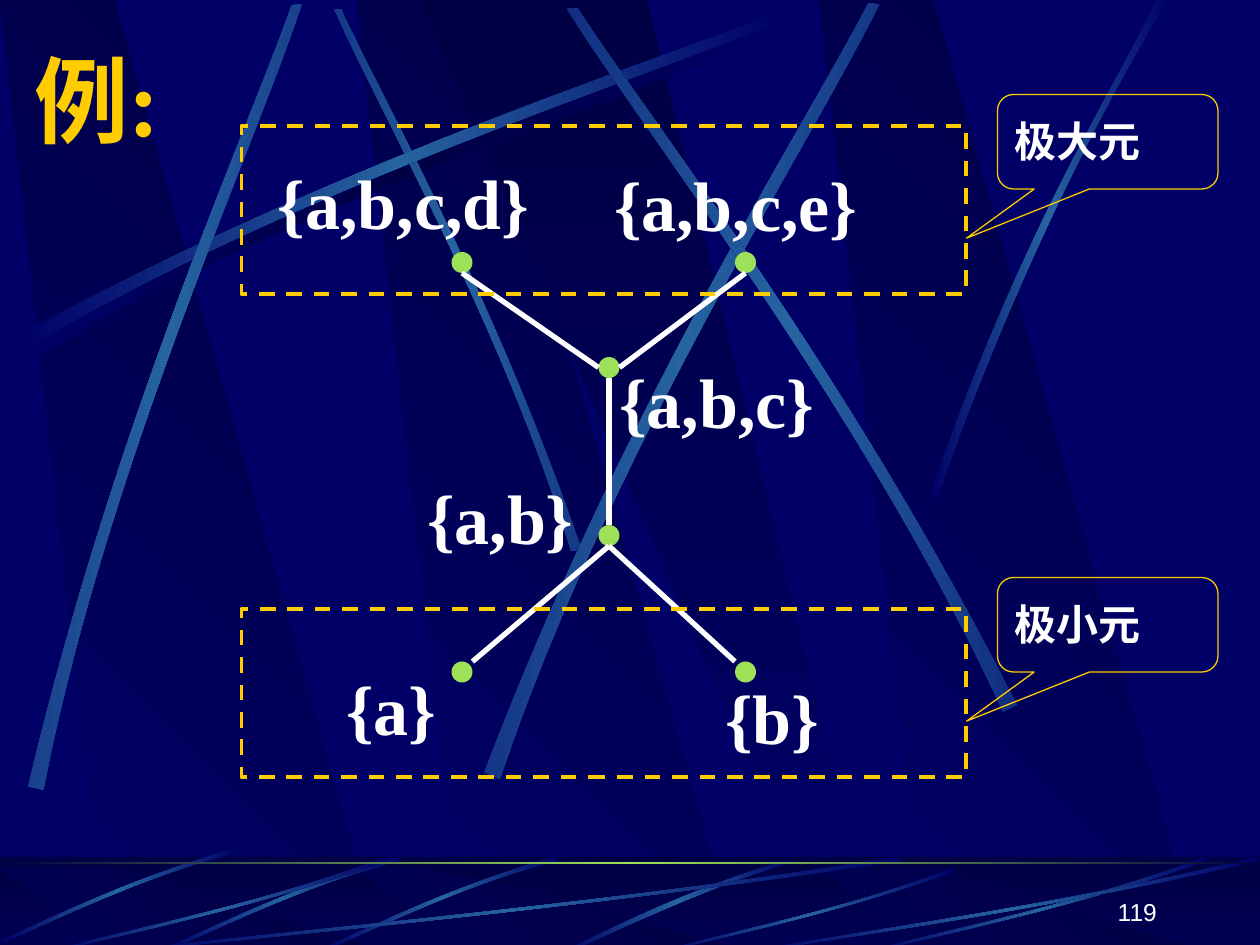
from lxml.etree import Element, SubElement
from pptx import Presentation
from pptx.dml.color import RGBColor
from pptx.enum.dml import MSO_LINE
from pptx.enum.shapes import MSO_CONNECTOR, MSO_SHAPE
from pptx.enum.text import MSO_ANCHOR, PP_ALIGN
from pptx.oxml.ns import qn
from pptx.util import Inches, Pt

COLUMNS = 120
WIDTH, HEIGHT = 10, 7.5
NAVY, DEEP, STEEL = "000066", "000044", "2663A0"
GOLD, LIME, WHITE = "FFCC00", "9CE157", "FFFFFF"
SERIF = "Times New Roman"

PANEL = [(0.28, 1), (1, 1), (0.3, 0), (0, 0)]
WEDGE = [(0, 0), (0.9, 1), (1, 1), (0.5, 0)]
ARC = [(0, 0.96), (0.43, 0.43), (0.83, 0.15), (0.99, 0),
       (1, 0.02), (0.83, 0.19), (0.38, 0.5), (0.01, 1)]
TALL = [(0, 0.99), (0.4, 0.44), (0.79, 0.17), (0.95, 0),
        (1, 0), (0.52, 0.37), (0.16, 0.81), (0.03, 1)]
SWEEP = [(1, 0.04), (0.57, 0.57), (0.17, 0.85), (0.01, 1),
         (0, 0.99), (0.17, 0.81), (0.62, 0.51), (0.99, 0)]
BLADE = [(0.99, 0), (0.49, 0.37), (0.16, 0.82), (0, 0.99),
         (0.03, 1), (0.23, 0.77), (0.68, 0.25), (1, 0.04)]


def color(code):
    return RGBColor.from_string(code)


def cells(*counts):
    return [Inches(WIDTH / COLUMNS * count) for count in counts]


def inches(box):
    return [Inches(length) for length in box]


def fill_gradient(shape, codes, angle):
    shape.shadow.inherit = False
    shape.line.fill.background()
    shape.fill.gradient()
    gradient = shape._element.spPr.find(qn("a:gradFill"))
    gradient.set("rotWithShape", "0")
    stops = gradient.find(qn("a:gsLst"))
    for stop in list(stops):
        stops.remove(stop)
    for index, code in enumerate(codes):
        place = str(index * 100000 // (len(codes) - 1))
        stop = SubElement(stops, qn("a:gs"), pos=place)
        SubElement(stop, qn("a:srgbClr"), val=code)
    gradient.find(qn("a:lin")).set("ang", str(angle * 60000))


def add_outline(page, box, points, codes, angle=0):
    left, top, width, height = inches(box)
    spots = [(left + x * width, top + y * height) for x, y in points]
    builder = page.shapes.build_freeform(*spots[0])
    builder.add_line_segments(spots[1:], close=True)
    shape = builder.convert_to_shape()
    fill_gradient(shape, codes, angle)
    return shape


def bend(shape):
    outline = next(shape._element.iter(qn("a:path")))
    for sides in (outline[1:4], outline[5:8]):
        curve = Element(qn("a:cubicBezTo"))
        sides[0].addprevious(curve)
        for side in sides:
            curve.append(side[0])
            outline.remove(side)


def add_streak(page, box, knots, turn=0, mirrored=False, middle=STEEL):
    points = [(1 - x, y) for x, y in knots] if mirrored else knots
    streak = add_outline(page, box, points, (NAVY, middle, NAVY))
    bend(streak)
    streak.rotation = turn


def add_band(page, box, codes, angle):
    band = page.shapes.add_shape(MSO_SHAPE.RECTANGLE, *inches(box))
    fill_gradient(band, codes, angle)


def add_panels(page, top, height):
    for left in (2.83, 0, 6.5):
        add_outline(page, (left, top, 3.02, height), PANEL, (NAVY, DEEP), 315)
    add_outline(page, (3.33, top, 3.61, height), WEDGE, (DEEP, NAVY), 90)


def add_veil(page, box):
    veil = page.shapes.add_shape(MSO_SHAPE.RECTANGLE, *inches(box))
    veil.shadow.inherit = False
    veil.line.fill.background()
    veil.fill.solid()
    veil.fill.fore_color.rgb = color(DEEP)
    tint = veil._element.spPr.find(qn("a:solidFill"))[0]
    SubElement(tint, qn("a:alpha"), val="50000")


def add_backdrop(page):
    add_panels(page, 0, 7.52)
    add_streak(page, (0.2, 0.18, 6.08, 2.67), ARC, middle=DEEP)
    for box, turn, mirrored in (
            ((1.41, 1.35, 4.42, 1.75), 45, True),
            ((0.14, 0.1, 6.08, 2.67), 0, False),
            ((-1.71, 1.82, 6.08, 2.67), 311.7, False),
            ((2.31, 1.6, 6.24, 3.01), 321.6, False),
            ((3.23, 1.52, 6.08, 2.67), 34.7, True)):
        add_streak(page, box, ARC, turn, mirrored)
    add_streak(page, (7.38, 0, 1.89, 3.97), TALL)

    floor = (0, 6.8, WIDTH, 0.75)
    add_band(page, floor, (DEEP, NAVY), 90)
    add_panels(page, 6.88, 0.66)
    add_veil(page, floor)
    add_streak(page, (4.48, 6.82, 1.8, 0.73), BLADE)
    for left, top in ((2.58, 6.76), (1.33, 6.76), (0.02, 6.7)):
        add_streak(page, (left, top, 1.84, 0.83), ARC, 315, True)
    for left, top, width in ((1, 6.8, 6.17), (0.42, 6.8, 2.67), (5.27, 6.89, 2.31),
                             (6.92, 6.8, 2.67), (6, 6.8, 4)):
        add_streak(page, (left, top, width, 7.55 - top), SWEEP)
    add_band(page, (0, 6.84, WIDTH, 0.02), (DEEP, LIME, DEEP), 0)


def move_to_master(page, master):
    master.background.fill.solid()
    master.background.fill.fore_color.rgb = color(NAVY)
    scenery = [shape for shape in page.shapes if not shape.is_placeholder]
    for index, shape in enumerate(scenery):
        shape._element.nvSpPr.cNvPr.set("id", str(100 + index))
        master.shapes._spTree.insert(2 + index, shape._element)


def write(frame, words, size, code=WHITE, font=SERIF, bold=True, spacing=None):
    para = frame.paragraphs[0]
    para.alignment = PP_ALIGN.LEFT
    para.line_spacing = spacing
    span = para.add_run()
    span.text = words
    span.font.size = Pt(size)
    span.font.name = font
    span.font.bold = bold
    span.font.color.rgb = color(code)
    return para


def add_title(page, words):
    title = page.shapes.title
    title.left, title.top, title.width, title.height = inches((0.17, 0.28, 9.5, 1))
    title.text_frame.vertical_anchor = MSO_ANCHOR.MIDDLE
    write(title.text_frame, words, 54, GOLD)


def add_node(page, column, row):
    node = page.shapes.add_shape(MSO_SHAPE.OVAL, *cells(column, row, 2, 2))
    node.shadow.inherit = False
    node.fill.solid()
    node.fill.fore_color.rgb = color(LIME)
    node.line.fill.background()


def add_edge(page, *ends):
    edge = page.shapes.add_connector(MSO_CONNECTOR.STRAIGHT, *cells(*ends))
    edge.line.color.rgb = color(WHITE)
    edge.line.width = Pt(3)
    SubElement(edge._element.spPr, qn("a:effectLst"))


def add_label(page, words, *box):
    label = page.shapes.add_textbox(*cells(*box, 10.8))
    label.text_frame.word_wrap = False
    write(label.text_frame, words, 40, spacing=1.2)


def add_frame(page, kind, box, weight):
    frame = page.shapes.add_shape(kind, *cells(*box))
    frame.shadow.inherit = False
    frame.fill.background()
    frame.line.color.rgb = color(GOLD)
    frame.line.width = Pt(weight)
    return frame


def add_group(page, row, words):
    region = add_frame(page, MSO_SHAPE.RECTANGLE, (23, row, 69, 16), 2.25)
    region.line.dash_style = MSO_LINE.DASH
    callout = add_frame(page, MSO_SHAPE.ROUNDED_RECTANGULAR_CALLOUT,
                        (95, row - 3, 21, 9), 0.75)
    for index, value in enumerate((-0.64, 1.02, 0.17)):
        callout.adjustments[index] = value
    callout.text_frame.vertical_anchor = MSO_ANCHOR.TOP
    write(callout.text_frame, words, 24, spacing=1.2)


def add_page_number(page, words):
    box = page.shapes.add_textbox(*inches((7.2, 6.9, 2.08, 0.5)))
    box.text_frame.word_wrap = True
    box.text_frame.vertical_anchor = MSO_ANCHOR.BOTTOM
    write(box.text_frame, words, 14, font="Arial", bold=False).alignment = PP_ALIGN.RIGHT


def main():
    deck = Presentation()
    deck.slide_width, deck.slide_height = Inches(WIDTH), Inches(HEIGHT)
    page = deck.slides.add_slide(deck.slide_layouts[5])
    add_backdrop(page)
    move_to_master(page, deck.slide_master)
    add_title(page, "例:")
    for spot in ((57, 34), (57, 50), (43, 24), (70, 24), (43, 63), (70, 63)):
        add_node(page, *spot)
    for ends in ((58, 36, 58, 50), (44, 26, 57, 35), (71, 26, 59, 35),
                 (58, 52, 45, 63), (58, 52, 70, 63)):
        add_edge(page, *ends)
    for label in (("{a}", 31.8, 61.2, 12.1), ("{b}", 67.9, 62.1, 12.6),
                  ("{a,b}", 39.5, 43, 17.5), ("{a,b,c}", 57.8, 32, 22.2),
                  ("{a,b,c,d}", 25.3, 13, 27.6), ("{a,b,c,e}", 57.3, 13.2, 26.8)):
        add_label(page, *label)
    add_group(page, 12, "极大元")
    add_group(page, 58, "极小元")
    add_page_number(page, "119")
    deck.save("out.pptx")


if __name__ == "__main__":
    main()
